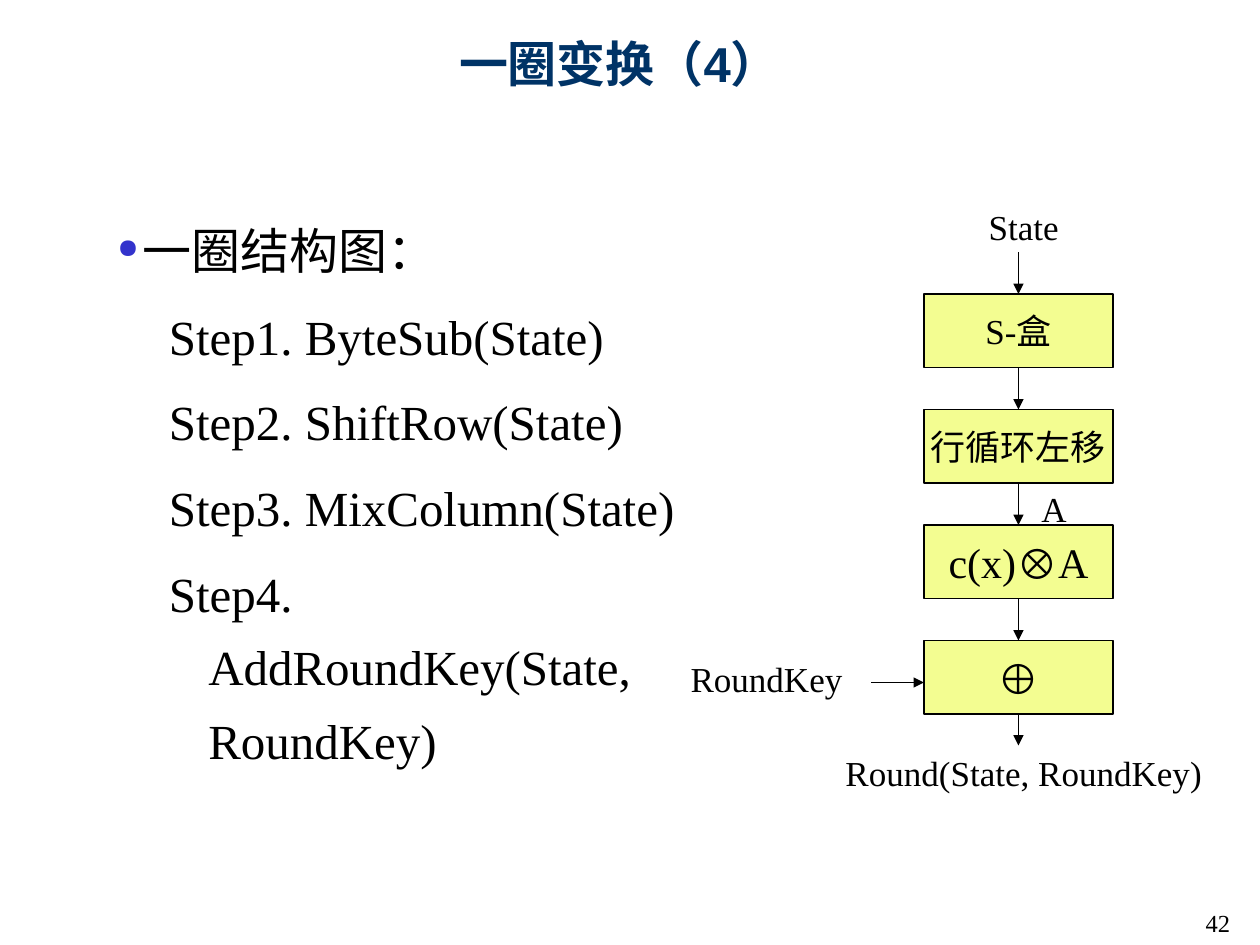
from dataclasses import dataclass

import pptx
import pptx.dml.color
import pptx.enum.shapes
import pptx.enum.text
import pptx.oxml
import pptx.oxml.ns
import pptx.util

Pt = pptx.util.Pt
RGB = pptx.dml.color.RGBColor.from_string
ALIGN = pptx.enum.text.PP_ALIGN
ANCHOR = pptx.enum.text.MSO_ANCHOR
TOP, BOTTOM = 0, 2


@dataclass(frozen=True)
class Theme:
    serif: str = "Times New Roman"
    sans: str = "Arial"
    ink: str = "000000"
    heading: str = "003366"
    bullet: str = "3333CC"
    node: str = "F3FD91"
    shadow: str = "C0C0C0"
    large: int = 28
    formula: int = 24
    label: int = 20
    small: int = 14
    line: float = 0.75


@dataclass(frozen=True)
class Box:
    left: float
    top: float
    width: float
    height: float

    def lengths(self):
        return [Pt(v) for v in (self.left, self.top, self.width, self.height)]


THEME = Theme()


def apply(target, values):
    for name, value in values.items():
        setattr(target, name, value)


def add_xml(parent, content):
    """Append the DrawingML elements written in content to parent."""
    declaration = pptx.oxml.ns.nsdecls("a")
    holder = pptx.oxml.parse_xml(f"<a:holder {declaration}>{content}</a:holder>")
    for element in list(holder):
        parent.append(element)


def add_span(para, text, size, font=THEME.serif, color=THEME.ink, bold=False):
    span = para.add_run()
    span.text = text
    apply(span.font, {"name": font, "size": Pt(size), "bold": bold})
    span.font.color.rgb = RGB(color)
    return span


def add_text(page, box, text, size=THEME.label, align=ALIGN.CENTER, inset=(7.2, 3.6),
             anchor=ANCHOR.TOP, **style):
    frame = page.shapes.add_textbox(*box.lengths()).text_frame
    across, down = map(Pt, inset)
    apply(frame, {"word_wrap": True, "vertical_anchor": anchor,
                  "margin_left": across, "margin_right": across,
                  "margin_top": down, "margin_bottom": down})
    para = frame.paragraphs[0]
    para.alignment = align
    return add_span(para, text, size, **style)


def add_title(page, box, text):
    span = add_text(page, box, text, THEME.large, anchor=ANCHOR.MIDDLE,
                    font=THEME.sans, color=THEME.heading, bold=True)
    properties = span._r.get_or_add_rPr()
    add_xml(properties, '<a:effectLst><a:outerShdw dist="17780" dir="2700000">'
                        f'<a:srgbClr val="{THEME.shadow}"/></a:outerShdw></a:effectLst>')
    properties.find(pptx.oxml.ns.qn("a:solidFill")).addnext(properties[-1])


def add_steps(page, box, heading, steps):
    frame = page.shapes.add_textbox(*box.lengths()).text_frame
    frame.word_wrap = True
    for index, text in enumerate([heading, *steps]):
        para = frame.add_paragraph() if index else frame.paragraphs[0]
        margin, hanging = (52, 22.5) if index else (14.4, 14.4)
        properties = para._p.get_or_add_pPr()
        properties.set("marL", str(Pt(margin)))
        properties.set("indent", str(-Pt(hanging)))
        if index:
            add_xml(properties, "<a:buNone/>")
        else:
            add_xml(properties, f'<a:buClr><a:srgbClr val="{THEME.bullet}"/></a:buClr>'
                                '<a:buSzPct val="55000"/><a:buChar char="●"/>')
        apply(para, {"alignment": ALIGN.JUSTIFY, "line_spacing": 1.25,
                     "space_before": Pt(7 if index else 0), "level": min(index, 1)})
        add_span(para, text, THEME.large)


def add_node(page, box, spans):
    """Add a flow rectangle; spans holds (text, size, font) for each run."""
    node = page.shapes.add_shape(pptx.enum.shapes.MSO_SHAPE.RECTANGLE, *box.lengths())
    node.shadow.inherit = False
    node.fill.solid()
    node.fill.fore_color.rgb = RGB(THEME.node)
    node.line.color.rgb = RGB(THEME.ink)
    node.line.width = Pt(THEME.line)
    apply(node.text_frame, {"word_wrap": False, "vertical_anchor": ANCHOR.MIDDLE})
    para = node.text_frame.paragraphs[0]
    para.alignment = ALIGN.CENTER
    for text, size, font in spans:
        add_span(para, text, size, font)
    return node


def add_arrow(page, start, end, source=None, target=None):
    """Draw an arrow, joined to the bottom of source and the top of target if given."""
    arrow = page.shapes.add_connector(pptx.enum.shapes.MSO_CONNECTOR.STRAIGHT,
                                      *map(Pt, (*start, *end)))
    arrow.line.color.rgb = RGB(THEME.ink)
    arrow.line.width = Pt(THEME.line)
    properties = arrow._element.spPr
    add_xml(properties.find(pptx.oxml.ns.qn("a:ln")), '<a:tailEnd type="triangle"/>')
    add_xml(properties, "<a:effectLst/>")
    if source:
        arrow.begin_connect(source, BOTTOM)
    if target:
        arrow.end_connect(target, TOP)


def add_round_flow(page, box):
    """Stack the round's nodes in a column, with labels around it."""
    node_width, node_height, gap = 108, 42, 24
    left, top = box.left + 144, box.top + 54
    middle = left + node_width / 2
    contents = [
        [("S-盒", THEME.label, THEME.serif)],
        [("行循环左移", THEME.label, THEME.serif)],
        [("c(x)", THEME.formula, THEME.serif), ("⊗", THEME.formula, THEME.sans),
         ("A", THEME.formula, THEME.serif)],
        [("⊕", THEME.formula, THEME.sans)],
    ]
    previous = None
    for index, spans in enumerate(contents):
        node_top = top + index * (node_height + gap)
        node = add_node(page, Box(left, node_top, node_width, node_height), spans)
        add_arrow(page, (middle, node_top - gap), (middle, node_top), previous, node)
        previous = node
    bottom = node_top + node_height
    add_arrow(page, (middle, bottom), (middle, bottom + 18), previous)
    key_level = bottom - 18
    add_arrow(page, (left - 30, key_level), (left, key_level))

    label_height = 32
    add_text(page, Box(left + 18, box.top, 78, label_height), "State")
    add_text(page, Box(middle + 6, box.top + 161, 30, label_height), "A", align=ALIGN.LEFT)
    add_text(page, Box(box.left, key_level - 18, 108, label_height), "RoundKey")
    add_text(page, Box(box.left + 90, bottom + 18, 222, label_height),
             "Round(State, RoundKey)")


def build_round_slide(deck):
    page = deck.slides.add_slide(deck.slide_layouts[6])
    add_text(page, Box(689, 519, 24, 17), "42", THEME.small, ALIGN.LEFT, inset=(0, 0))
    add_title(page, Box(48, 15, 612, 42), "一圈变换（4）")
    add_steps(page, Box(60, 114, 338, 318), "一圈结构图：", [
        "Step1. ByteSub(State)",
        "Step2. ShiftRow(State)",
        "Step3. MixColumn(State)",
        "Step4. AddRoundKey(State, RoundKey)",
    ])
    add_round_flow(page, Box(384, 114, 312, 344))


def main():
    deck = pptx.Presentation()
    apply(deck, {"slide_width": Pt(720), "slide_height": Pt(540)})
    build_round_slide(deck)
    deck.save("out.pptx")


if __name__ == "__main__":
    main()
